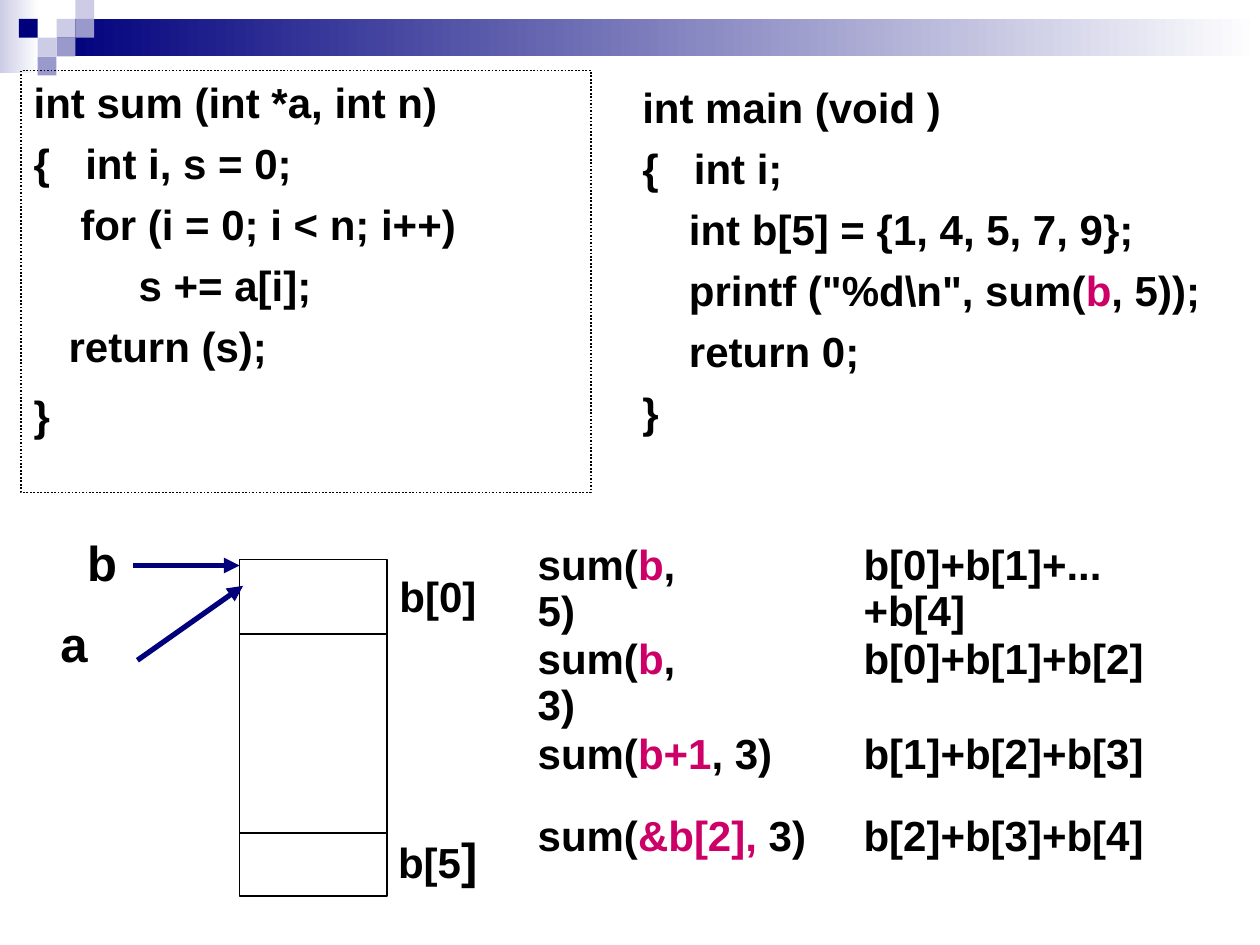
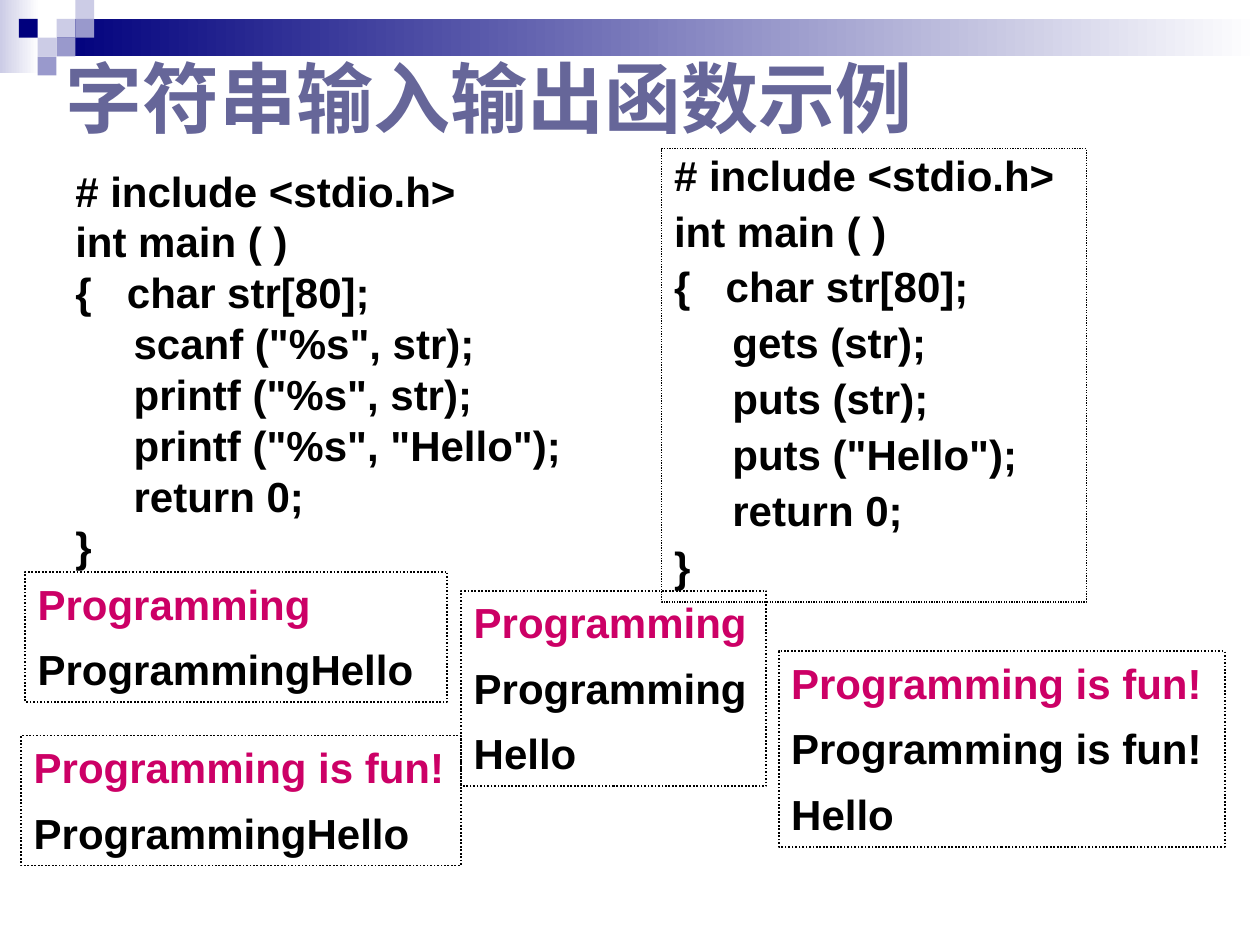
from lxml.etree import SubElement
from pptx import Presentation
from pptx.dml.color import RGBColor
from pptx.enum.dml import MSO_LINE
from pptx.enum.shapes import MSO_CONNECTOR, MSO_SHAPE
from pptx.enum.text import MSO_ANCHOR, MSO_AUTO_SIZE, PP_ALIGN
from pptx.oxml.ns import qn
from pptx.util import Cm, Pt

INK = {"black": "000000", "white": "FFFFFF", "navy": "00007D", "pale": "CCCCE6",
       "mid": "9999CC", "pink": "CC0066", "title": "666699"}
FACE = "Arial"
UNIT = 0.38
SPACE = 0.235
BRACE = 1.04
TILES = [(3, 1, "pale"), (4, 0, "pale"), (4, 1, "mid"), (2, 2, "pale"),
         (1, 1, "navy"), (3, 2, "mid"), (2, 3, "mid")]


def ink(name):
    """Return the named colour."""
    return RGBColor.from_string(INK[name])


class Deck:
    """Holds the style and the current slide."""

    def __init__(self):
        """Start an empty deck."""
        self.prs = Presentation()
        self.prs.slide_width, self.prs.slide_height = Cm(25.4), Cm(19.05)
        self.slide = None

    def start(self, title=None):
        """Add a slide with its band, and a title if given."""
        layout = self.prs.slide_layouts[5 if title else 6]
        self.slide = self.prs.slides.add_slide(layout)
        self.band()
        if title:
            self.head(title)

    def band(self):
        """Draw the top bar and its tiles."""
        self.rect((0, 0, 0.79, 1.47), fade="pale")
        self.rect((3 * UNIT, UNIT, 24.26, 2 * UNIT), fade="navy")
        for col, row, name in TILES:
            self.rect((col * UNIT, row * UNIT, UNIT, UNIT), fill=name)

    def head(self, text):
        """Place and format the title."""
        shape = self.slide.shapes.title
        shape.left, shape.top, shape.width, shape.height = map(Cm, (1.07, 0.66, 23.29, 2.34))
        frame = shape.text_frame
        frame.auto_size = MSO_AUTO_SIZE.NONE
        frame.vertical_anchor = MSO_ANCHOR.BOTTOM
        para = frame.paragraphs[0]
        para.text = text
        para.alignment = PP_ALIGN.LEFT
        self.font(para.font, 44, "title")

    def font(self, font, size, name="black"):
        """Set the bold face, size and colour."""
        font.name, font.size, font.bold = FACE, Pt(size), True
        font.color.rgb = ink(name)

    def rect(self, place, fill=None, fade=None, line=None, dots=False):
        """Add a rectangle, plain, filled, fading or outlined."""
        shape = self.slide.shapes.add_shape(MSO_SHAPE.RECTANGLE, *map(Cm, place))
        shape.shadow.inherit = False
        if fade:
            shape.fill.gradient()
            shape.fill.gradient_angle = 0
            for stop, name in zip(shape.fill.gradient_stops, (fade, "white")):
                stop.color.rgb = ink(name)
        elif fill:
            shape.fill.solid()
            shape.fill.fore_color.rgb = ink(fill)
        else:
            shape.fill.background()
        if line:
            shape.line.color.rgb = ink("black")
            shape.line.width = Pt(line)
            if dots:
                shape.line.dash_style = MSO_LINE.ROUND_DOT
        else:
            shape.line.fill.background()
        return shape

    def text(self, place, lines, size=24, gap=6, lead=1.0, line=None):
        """Add lines of (indent, text), with pink parts between bars."""
        if line:
            shape = self.rect(place, line=line, dots=True)
        else:
            shape = self.slide.shapes.add_textbox(*map(Cm, place))
        frame = shape.text_frame
        frame.word_wrap = True
        frame.vertical_anchor = MSO_ANCHOR.TOP
        for num, (dent, words) in enumerate(lines):
            para = frame.add_paragraph() if num else frame.paragraphs[0]
            para.alignment = PP_ALIGN.LEFT
            para.space_before, para.line_spacing = Pt(gap), lead
            self.font(para.font, size)
            self.dent(para, dent, "\t" in words)
            for part, piece in enumerate(words.split("|")):
                if piece:
                    run = para.add_run()
                    run.text = piece
                    if part % 2:
                        run.font.color.rgb = ink("pink")
        return frame

    def dent(self, para, count, hang):
        """Indent by a count of spaces, or hang after a brace."""
        left = Cm(BRACE if hang else count * SPACE)
        props = para._p.get_or_add_pPr()
        props.set("marL", str(int(left)))
        props.set("indent", str(int(-left if hang else 0)))

    def label(self, place, words, size):
        """Add a centred label."""
        frame = self.text(place, [(0, words)], size, gap=0)
        frame.word_wrap = False
        frame.vertical_anchor = MSO_ANCHOR.MIDDLE
        frame.paragraphs[0].alignment = PP_ALIGN.CENTER
        return frame

    def link(self, ends, name="black", width=1, arrow=False):
        """Add a straight line or arrow."""
        line = self.slide.shapes.add_connector(MSO_CONNECTOR.STRAIGHT, *map(Cm, ends))
        line.line.color.rgb = ink(name)
        line.line.width = Pt(width)
        props = line._element.spPr
        if arrow:
            SubElement(props.find(qn("a:ln")), qn("a:tailEnd"), type="triangle")
        SubElement(props, qn("a:effectLst"))


def sums(deck):
    """Build the slide on passing an array to sum."""
    deck.start()
    frame = deck.text((0.43, 1.42, 11.48, 8.51), [
        (0, "int sum (int *a, int n)"), (0, "{\tint i, s = 0;"),
        (4, "for (i = 0; i < n; i++)"), (9, "s += a[i];"),
        (3, "return (s);"), (0, "}")], line=1)
    frame.paragraphs[-1].space_before = Pt(11)
    deck.text((12.7, 1.52, 12.01, 7.42), [
        (0, "int main (void )"), (0, "{\tint i;"),
        (4, "int b[5] = {1, 4, 5, 7, 9};"),
        (4, 'printf ("%d\\n", sum(|b|, 5));'), (4, "return 0;"), (0, "}")])

    left, wide = 4.83, 2.97
    deck.rect((left, 11.28, wide, 6.78), line=1)
    for y in (12.78, 16.79):
        deck.link((left, y, left + wide, y))
    deck.label((1.35, 10.52, 1.42, 1.6), "b", 28)
    deck.label((0.97, 12.24, 1.04, 1.45), "a", 28)
    deck.label((7.8, 11.38, 2.06, 1.27), "b[0]", 24)
    last = deck.label((7.77, 16.59, 2.11, 1.45), "b[5", 24).paragraphs[0].add_run()
    last.text = "]"
    last.font.size = Pt(28)
    for ends in ((2.69, 11.4, left, 11.4), (2.77, 13.31, 4.9, 11.81)):
        deck.link(ends, "navy", 3, True)

    for top, call, span, total, room in (
            (10.85, "sum(|b|, 5)", 4.15, "b[0]+b[1]+...+b[4]", 7.2),
            (12.75, "sum(|b|, 3)", 4.15, "b[0]+b[1]+b[2]", 6.5),
            (14.66, "sum(|b+1|, 3)", 6.2, "b[1]+b[2]+b[3]", 6.5),
            (16.31, "sum(|&b[2],| 3)", 6.2, "b[2]+b[3]+b[4]", 6.5)):
        deck.text((10.59, top, span, 1.17), [(0, call)], lead=0.9)
        deck.text((17.16, top, room, 1.17), [(0, total)], lead=0.9)


def strings(deck):
    """Build the slide on reading and writing strings."""
    deck.start("字符串输入输出函数示例")
    first = [(0, "# include <stdio.h>"), (0, "int main ( )"), (0, "{\tchar str[80];")]
    final = [(5, "return 0;"), (0, "}")]
    scan = [(5, 'scanf ("%s", str);'), (5, 'printf ("%s", str);'),
            (5, 'printf ("%s", "Hello");')]
    gets = [(5, "gets (str);"), (5, "puts (str);"), (5, 'puts ("Hello");')]
    deck.text((1.27, 3.4, 10.8, 8.31), first + scan + final, lead=0.8)
    deck.text((13.34, 3, 8.56, 9.14), first + gets + final, lead=0.9, line=0.75)

    word, phrase = "Programming", "Programming is fun!"
    for place, typed, shown in (
            ((0.51, 11.53, 8.51, 2.62), word, ["ProgrammingHello"]),
            ((0.43, 14.83, 8.86, 2.62), phrase, ["ProgrammingHello"]),
            ((9.3, 11.91, 6.15, 3.94), word, [word, "Hello"]),
            ((15.7, 13.13, 8.99, 3.94), phrase, [phrase, "Hello"])):
        lines = [(0, words) for words in [f"|{typed}|", *shown]]
        deck.text(place, lines, gap=8.5, line=1)


def main():
    """Build and save the deck."""
    deck = Deck()
    sums(deck)
    strings(deck)
    deck.prs.save("out.pptx")


if __name__ == "__main__":
    main()
